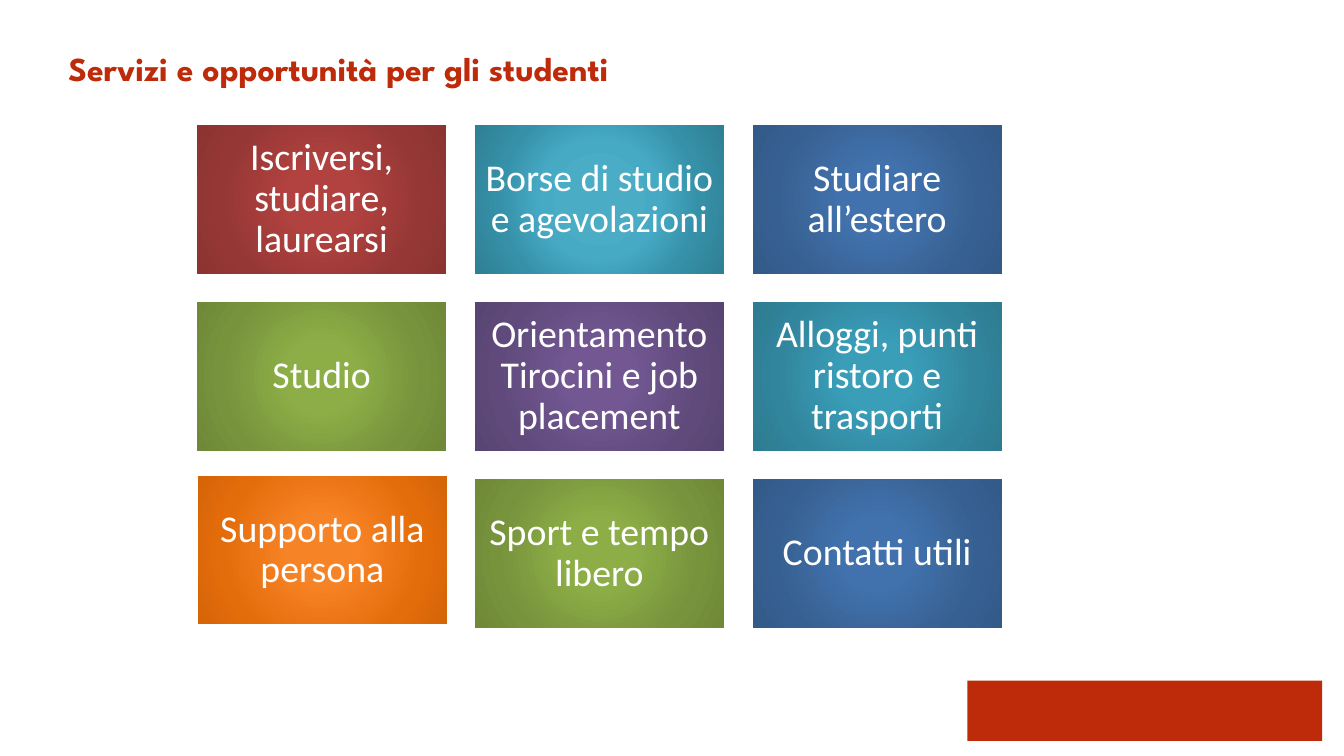
from pptx import Presentation
from pptx.dml.color import RGBColor
from pptx.enum.shapes import MSO_SHAPE
from pptx.enum.text import MSO_ANCHOR, MSO_AUTO_SIZE, PP_ALIGN
from pptx.oxml import parse_xml
from pptx.oxml.ns import nsdecls, qn
from pptx.util import Cm, Pt

RED = "BD2B0B"
WHITE = "FFFFFF"

BRICK = {0: "B1423F", 23: "B1423F", 69: "953735", 97: "8B3431"}
AQUA = {0: "4BACC6", 23: "4BACC6", 40: "47AAC5", 69: "3590A8", 97: "2F8095"}
BLUE = {0: "4172AD", 23: "4172AD", 69: "376092", 97: "335A88"}
GREEN = {0: "8DAE47", 23: "8DAE47", 69: "77933C", 97: "6F8938"}
PURPLE = {0: "725792", 23: "725792", 69: "604A7B", 97: "594573"}
TEAL = {0: "3A9EB9", 23: "3A9EB9", 69: "31859C", 97: "2E7C91"}
ORANGE = {0: "F68325", 23: "F68325", 69: "E46C0A", 97: "D56509"}

SERVICES = [
    ("Iscriversi, studiare, laurearsi", BRICK),
    ("Borse di studio e agevolazioni", AQUA),
    ("Studiare all’estero", BLUE),
    ("Studio", GREEN),
    ("Orientamento Tirocini e job placement", PURPLE),
    ("Alloggi, punti ristoro e trasporti", TEAL),
    ("Supporto alla persona", ORANGE),
    ("Sport e tempo libero", GREEN),
    ("Contatti utili", BLUE),
]
NUDGES = {"Supporto alla persona": (0.02, -0.08)}

COLUMNS = 3
GRID_LEFT, GRID_TOP = 4.93, 3.12
PITCH_X, PITCH_Y = 7.0, 4.46
TILE_WIDTH, TILE_HEIGHT = 6.35, 3.81


def colour(value):
    return RGBColor.from_string(value)


class ServicesSlide:
    title_font = "League Spartan"
    tile_font = "Calibri"

    def __init__(self, presentation):
        self.slide = presentation.slides.add_slide(presentation.slide_layouts[5])

    def title(self, text, left, top, width, height):
        heading = self.slide.shapes.title
        heading.left, heading.top = Cm(left), Cm(top)
        heading.width, heading.height = Cm(width), Cm(height)
        frame = heading.text_frame
        frame.text = text
        frame.word_wrap = True
        frame.auto_size = MSO_AUTO_SIZE.NONE
        frame.vertical_anchor = MSO_ANCHOR.TOP
        paragraph = frame.paragraphs[0]
        paragraph.alignment = PP_ALIGN.LEFT
        paragraph.line_spacing = Pt(22)
        self.style(paragraph.font, self.title_font, 24, RED)
        paragraph.font.bold = True

    def style(self, font, name, size, hex_colour):
        font.name = name
        font.size = Pt(size)
        font.color.rgb = colour(hex_colour)

    def box(self, left, top, width, height):
        rectangle = self.slide.shapes.add_shape(
            MSO_SHAPE.RECTANGLE, Cm(left), Cm(top), Cm(width), Cm(height))
        rectangle.shadow.inherit = False
        return rectangle

    def band(self, left, top, width, height, hex_colour):
        band = self.box(left, top, width, height)
        band.fill.solid()
        band.fill.fore_color.rgb = colour(hex_colour)
        band.line.fill.background()

    def radial_fill(self, shape, stops):
        shape.fill.gradient()
        properties = shape._element.spPr
        stop_list = "".join(
            f'<a:gs pos="{position * 1000}"><a:srgbClr val="{value}"/></a:gs>'
            for position, value in stops.items())
        radial = parse_xml(
            f'<a:gradFill {nsdecls("a")} rotWithShape="1"><a:gsLst>{stop_list}</a:gsLst>'
            '<a:path path="circle"><a:fillToRect l="50000" t="50000" r="50000" b="50000"/>'
            '</a:path></a:gradFill>')
        properties.replace(properties.find(qn("a:gradFill")), radial)

    def tile(self, text, stops, left, top):
        tile = self.box(left, top, TILE_WIDTH, TILE_HEIGHT)
        self.radial_fill(tile, stops)
        tile.line.color.rgb = colour(WHITE)
        tile.line.width = Pt(2)
        frame = tile.text_frame
        frame.text = text
        frame.word_wrap = True
        frame.vertical_anchor = MSO_ANCHOR.MIDDLE
        frame.margin_left = frame.margin_right = Cm(0.28)
        frame.margin_top = frame.margin_bottom = Cm(0.28)
        paragraph = frame.paragraphs[0]
        paragraph.alignment = PP_ALIGN.CENTER
        paragraph.line_spacing = 0.9
        self.style(paragraph.font, self.tile_font, 27, WHITE)


def main():
    presentation = Presentation()
    presentation.slide_width, presentation.slide_height = Cm(33.87), Cm(19.05)
    page = ServicesSlide(presentation)
    page.band(24.38, 17.15, 8.94, 1.52, RED)
    page.title("Servizi e opportunità per gli studenti", 1.47, 1.32, 31.19, 1.8)
    for index, (service, stops) in enumerate(SERVICES):
        row, column = divmod(index, COLUMNS)
        shift_x, shift_y = NUDGES.get(service, (0, 0))
        page.tile(service, stops,
                  GRID_LEFT + column * PITCH_X + shift_x,
                  GRID_TOP + row * PITCH_Y + shift_y)
    presentation.save("out.pptx")


if __name__ == "__main__":
    main()
